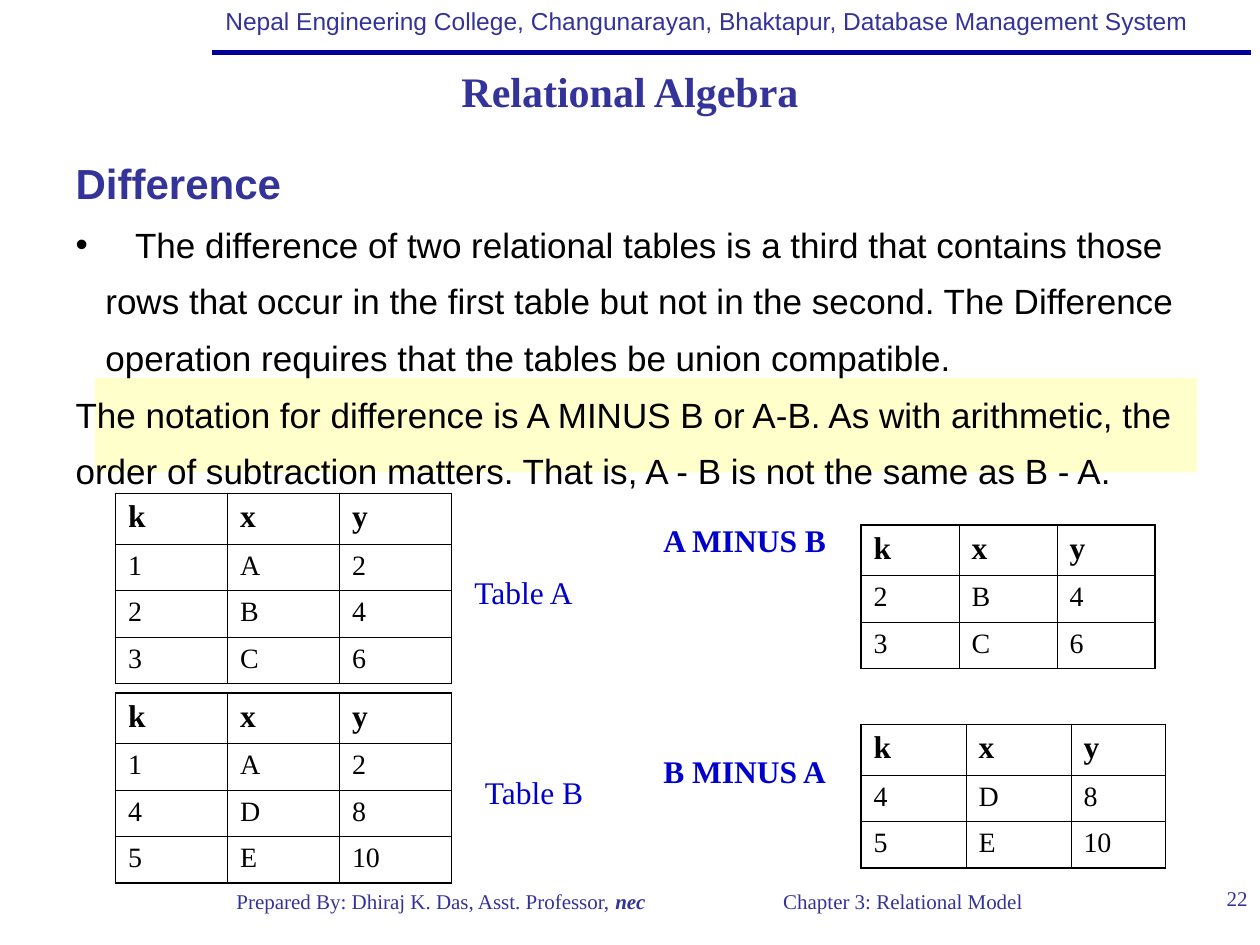
"""Build the slide on the difference operation of relational algebra."""
import lxml.etree
import pptx
import pptx.dml.color
import pptx.enum.shapes
import pptx.enum.text
import pptx.oxml.ns
import pptx.util

Pt = pptx.util.Pt
RGB = pptx.dml.color.RGBColor
ALIGN = pptx.enum.text.PP_ALIGN
FIT = pptx.enum.text.MSO_AUTO_SIZE
qn = pptx.oxml.ns.qn
sub = lxml.etree.SubElement

BLACK = RGB(0, 0, 0)
NAVY = RGB(0, 0, 0x99)
BLUE = RGB(0x33, 0x33, 0x99)
LABEL = RGB(0, 0, 0xCC)
CREAM = RGB(0xFF, 0xFF, 0xCC)
SERIF = "Times New Roman"
SANS = "Arial"


def write(para, text, size=18, color=BLACK, face=SERIF, bold=False, slant=False):
    run = para.add_run()
    run.text = text
    font = run.font
    font.size, font.name = Pt(size), face
    font.bold, font.italic = bold, slant
    font.color.rgb = color


def box(left, top, width, height, align=ALIGN.LEFT):
    frame = slide.shapes.add_textbox(Pt(left), Pt(top), Pt(width), Pt(height)).text_frame
    frame.word_wrap = False
    frame.auto_size = FIT.NONE
    para = frame.paragraphs[0]
    para.alignment = align
    return para


deck = pptx.Presentation()
deck.slide_width, deck.slide_height = Pt(720), Pt(540)
slide = deck.slides.add_slide(deck.slide_layouts[1])
shapes = slide.shapes
title, body = slide.placeholders

rule = shapes.add_connector(
    pptx.enum.shapes.MSO_CONNECTOR.STRAIGHT, Pt(121), Pt(30), Pt(715), Pt(30))
rule.line.color.rgb = NAVY
rule.line.width = Pt(3)
sub(rule._element.spPr, qn("a:effectLst"))

write(box(121.7, 0, 565, 24.5),
      "Nepal Engineering College, Changunarayan, Bhaktapur, Database Management System",
      size=14, color=BLUE, face=SANS)
foot = box(102, 504, 300, 36, ALIGN.CENTER)
write(foot, "Prepared By: Dhiraj K. Das, Asst. Professor, ", size=12, color=BLUE)
write(foot, "nec", size=12, color=BLUE, bold=True, slant=True)
write(box(366, 504, 300, 36, ALIGN.CENTER), "Chapter 3: Relational Model", size=12, color=BLUE)
write(box(678, 502.5, 42, 36, ALIGN.RIGHT), "22", size=12, color=BLUE)

title.left, title.top, title.width, title.height = Pt(0), Pt(31), Pt(720), Pt(42)
frame = title.text_frame
frame.auto_size = FIT.NONE
frame.vertical_anchor = pptx.enum.text.MSO_ANCHOR.MIDDLE
para = frame.paragraphs[0]
para.alignment = ALIGN.CENTER
write(para, "Relational Algebra", size=24, color=BLUE, bold=True)

band = shapes.add_shape(
    pptx.enum.shapes.MSO_SHAPE.RECTANGLE, Pt(54), Pt(216), Pt(630), Pt(54))
band.shadow.inherit = False
band.fill.solid()
band.fill.fore_color.rgb = CREAM
band.line.fill.background()
title._element.addprevious(band._element)

body.left, body.top, body.width, body.height = Pt(24), Pt(78), Pt(666), Pt(198)
frame = body.text_frame
frame.auto_size = FIT.NONE
items = [
    ("Difference", False, 1.3, dict(size=24, color=BLUE, bold=True)),
    ("\tThe difference of two relational tables is a third that contains those rows "
     "that occur in the first table but not in the second. The Difference operation "
     "requires that the tables be union compatible.", True, 1.35, dict(size=20)),
    ("The notation for difference is A MINUS B or A-B. As with arithmetic, the order "
     "of subtraction matters. That is, A - B is not the same as B - A.",
     False, 1.35, dict(size=20)),
]
for i, (text, dot, space, style) in enumerate(items):
    para = frame.paragraphs[0] if i == 0 else frame.add_paragraph()
    para.line_spacing = space
    para.space_before = Pt(0)
    props = para._p.get_or_add_pPr()
    props.set("marL", str(Pt(29 if dot else 12)))
    props.set("indent", str(Pt(-17 if dot else 0)))
    if dot:
        sub(props, qn("a:buFont"), typeface=SANS)
        sub(props, qn("a:buChar"), char="•")
        tabs = sub(props, qn("a:tabLst"))
        sub(tabs, qn("a:tab"), pos=str(Pt(46)), algn="l")
    else:
        sub(props, qn("a:buNone"))
    write(para, text, face=SANS, **style)

labels = [
    ("Table A", 264, 324, 72, False),
    ("Table B", 270, 438, 72, False),
    ("A MINUS B", 372, 294, 108, True),
    ("B MINUS A", 372, 426, 108, True),
]
for text, left, top, width, bold in labels:
    write(box(left, top, width, 29), text, color=LABEL, bold=bold)

grids = [
    (66, 282, (64, 64, 64), ("1A2", "2B4", "3C6")),
    (66, 396, (64, 64, 64), ("1A2", "4D8", ("5", "E", "10"))),
    (492, 300, (56, 56, 56), ("2B4", "3C6")),
    (492, 414, (60, 60, 54), ("4D8", ("5", "E", "10"))),
]
for left, top, widths, data in grids:
    rows = ["kxy", *data]
    last = len(rows) - 1
    table = shapes.add_table(
        len(rows), 3, Pt(left), Pt(top), Pt(sum(widths)), Pt(28.8 + 26.6 * last)).table
    table.first_row = table.horz_banding = False
    for col, width in zip(table.columns, widths):
        col.width = Pt(width)
    for r, row in enumerate(rows):
        table.rows[r].height = Pt(26.6 if r else 28.8)
        for c, text in enumerate(row):
            cell = table.cell(r, c)
            write(cell.text_frame.paragraphs[0], text, size=16 if r else 18, bold=r == 0)
            props = cell._tc.get_or_add_tcPr()
            edges = {"L": c == 0, "R": c == 2, "T": r == 0, "B": r == last}
            for side, outer in edges.items():
                line = sub(props, qn("a:ln" + side), w=str(Pt(1.08 if outer else 0.45)))
                fill = sub(line, qn("a:solidFill"))
                sub(fill, qn("a:srgbClr"), val=str(BLACK))
            cell.fill.background()

deck.save("out.pptx")
